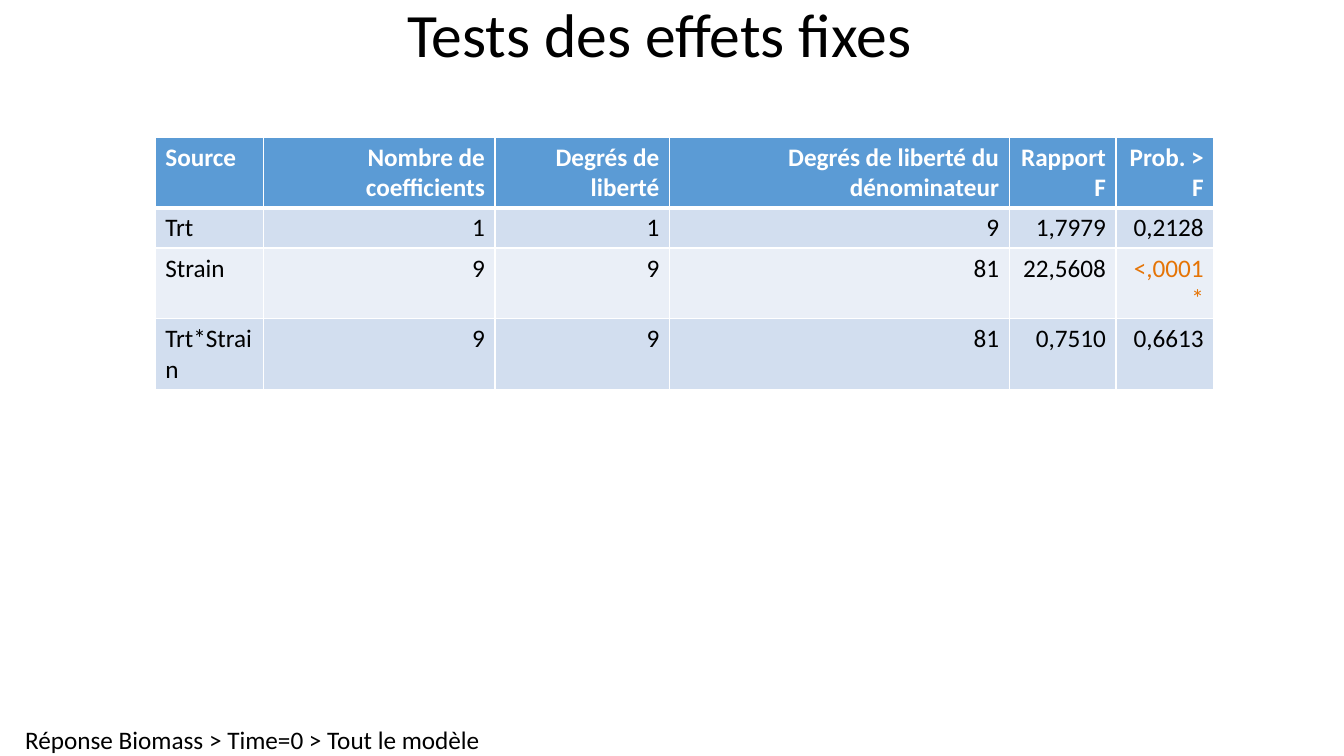
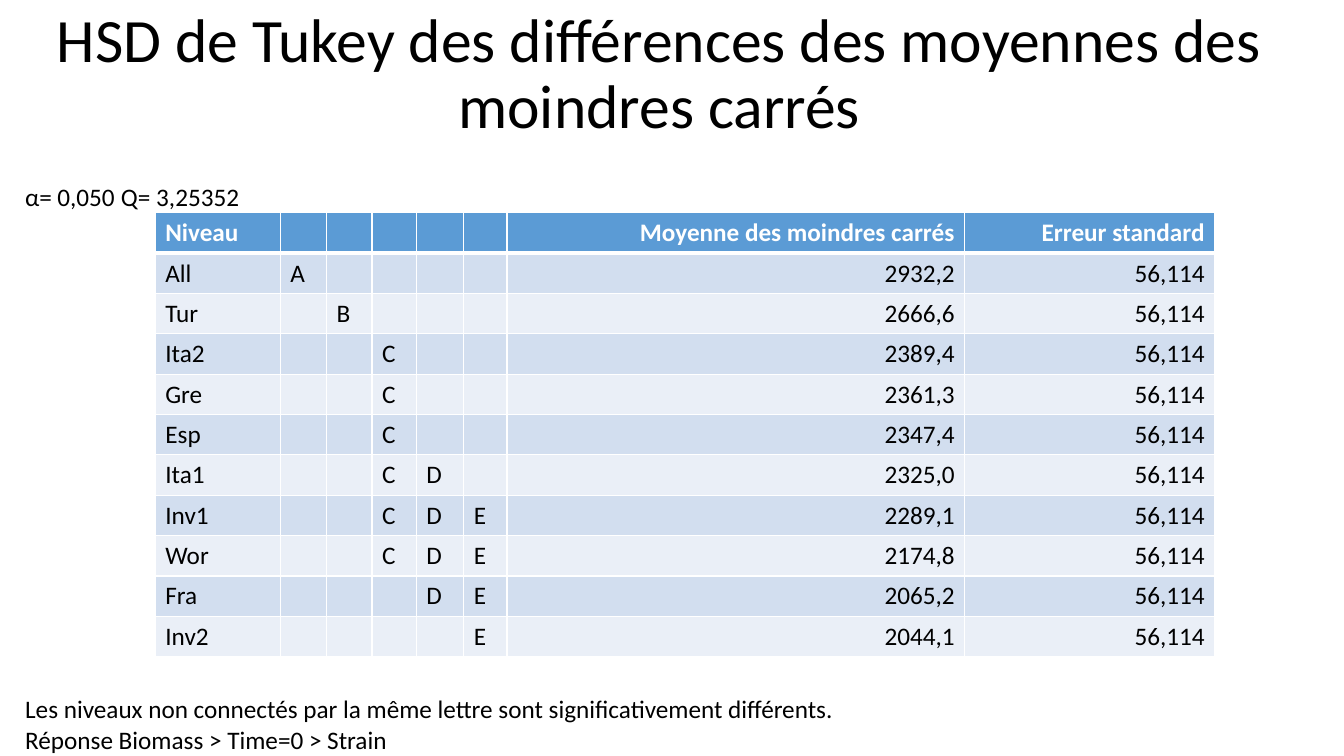
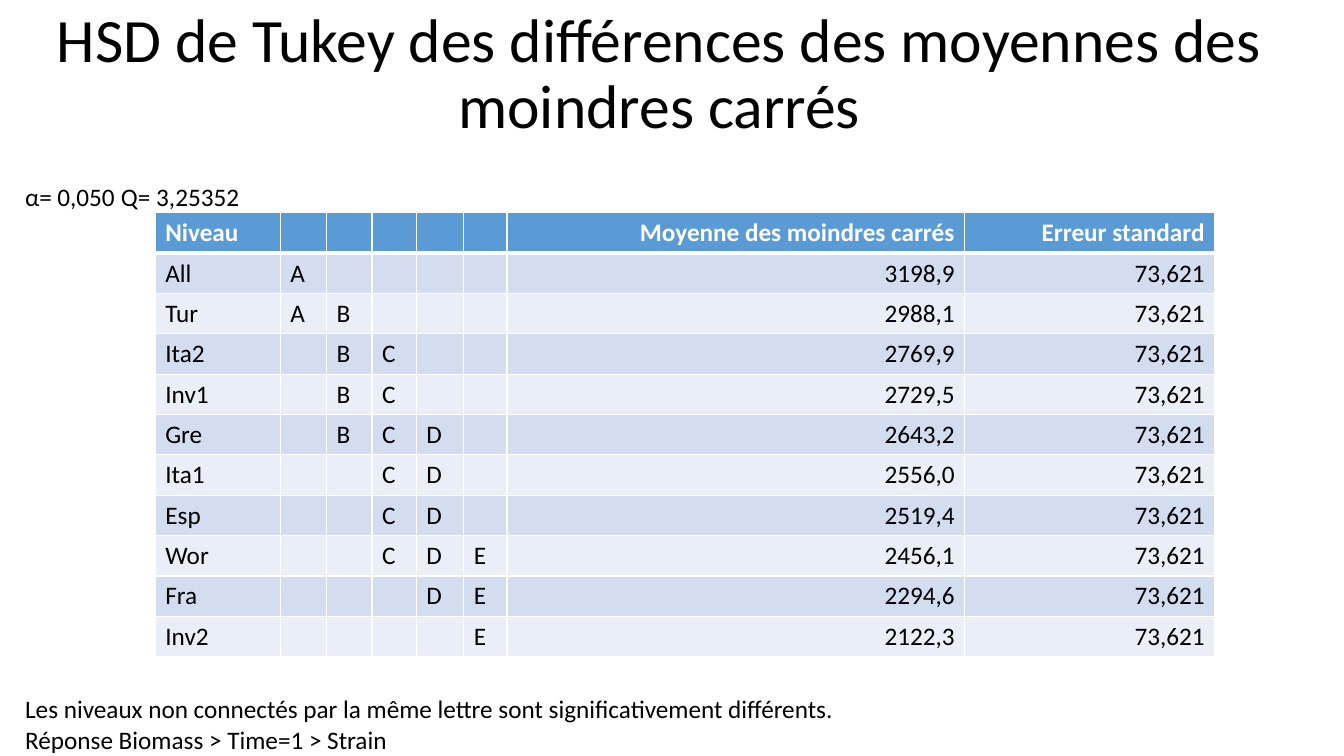
from dataclasses import dataclass

from lxml.etree import SubElement
from pptx import Presentation
from pptx.dml.color import RGBColor
from pptx.enum.text import MSO_ANCHOR, MSO_AUTO_SIZE, PP_ALIGN
from pptx.oxml.ns import qn
from pptx.util import Inches, Pt


@dataclass(frozen=True)
class Theme:
    font: str = "Calibri"
    title_size: int = 44
    body_size: int = 18
    text: str = "000000"
    header_text: str = "FFFFFF"
    significant: str = "E57406"
    header_fill: str = "5B9BD5"
    bands: tuple = ("D2DEEF", "EAEFF7")
    border: str = "FFFFFF"
    thin: int = 1
    thick: int = 3


THEME = Theme()
MARGIN = 0.25
PAGE_WIDTH, PAGE_HEIGHT = 13.33, 7.5
TITLE_WIDTH = PAGE_WIDTH - MARGIN
LINE_HEIGHT = 0.31
LABEL_GAP = 0.03
TABLE_LEFT = 1.54
ROW_HEIGHT = 0.4

EFFECTS = {
    "title": "Tests des effets fixes",
    "title_height": 0.75,
    "labels": [],
    "top": 1.36,
    "widths": [1.07, 2.3, 1.73, 3.37, 1.06, 0.97],
    "text_columns": 1,
    "rows": [
        ["Source", "Nombre de coefficients", "Degrés de liberté",
         "Degrés de liberté du dénominateur", "Rapport F", "Prob. > F"],
        ["Trt", "1", "1", "9", "1,7979", "0,2128"],
        ["Strain", "9", "9", "81", "22,5608", "<,0001*"],
        ["Trt*Strain", "9", "9", "81", "0,7510", "0,6613"],
    ],
    "footer": [("Réponse Biomass > Time=0 > Tout le modèle", 4.6)],
}

LETTERS = "ABCDE"
TUKEY_TESTS = [
    (0, "56,114", [
        ("All", "A", "2932,2"), ("Tur", "B", "2666,6"), ("Ita2", "C", "2389,4"),
        ("Gre", "C", "2361,3"), ("Esp", "C", "2347,4"), ("Ita1", "CD", "2325,0"),
        ("Inv1", "CDE", "2289,1"), ("Wor", "CDE", "2174,8"),
        ("Fra", "DE", "2065,2"), ("Inv2", "E", "2044,1"),
    ]),
    (1, "73,621", [
        ("All", "A", "3198,9"), ("Tur", "AB", "2988,1"), ("Ita2", "BC", "2769,9"),
        ("Inv1", "BC", "2729,5"), ("Gre", "BCD", "2643,2"), ("Ita1", "CD", "2556,0"),
        ("Esp", "CD", "2519,4"), ("Wor", "CDE", "2456,1"),
        ("Fra", "DE", "2294,6"), ("Inv2", "E", "2122,3"),
    ]),
]


def tukey_content(time, error, levels):
    header = ["Niveau", *[""] * len(LETTERS), "Moyenne des moindres carrés", "Erreur standard"]
    body = [
        [level, *[letter if letter in groups else "" for letter in LETTERS], mean, error]
        for level, groups, mean in levels
    ]
    return {
        "title": "HSD de Tukey des différences des moyennes des moindres carrés",
        "title_height": 1.5,
        "labels": [("α=", 0.29), ("0,050", 0.6), ("Q=", 0.32), ("3,25352", 0.86)],
        "top": 2.11,
        "widths": [1.24, 0.46, 0.45, 0.44, 0.47, 0.43, 4.54, 2.48],
        "text_columns": 1 + len(LETTERS),
        "rows": [header, *body],
        "footer": [
            ("Les niveaux non connectés par la même lettre sont significativement différents.", 8.1),
            (f"Réponse Biomass > Time={time} > Strain", 3.65),
        ],
    }


def add_span(para, text, size, color, bold=False):
    span = para.add_run()
    span.text = text
    span.font.name = THEME.font
    span.font.size = Pt(size)
    span.font.bold = bold
    span.font.color.rgb = RGBColor.from_string(color)


def add_title(page, text, height):
    box = page.shapes.add_textbox(0, 0, Inches(TITLE_WIDTH), Inches(height))
    frame = box.text_frame
    frame.word_wrap = True
    frame.vertical_anchor = MSO_ANCHOR.MIDDLE
    para = frame.paragraphs[0]
    para.alignment = PP_ALIGN.CENTER
    para.line_spacing = 0.9
    add_span(para, text, THEME.title_size, THEME.text)


def add_label(page, text, left, top, width):
    box = page.shapes.add_textbox(Inches(left), Inches(top), Inches(width), Inches(LINE_HEIGHT))
    frame = box.text_frame
    frame.margin_left = frame.margin_top = frame.margin_right = frame.margin_bottom = 0
    frame.word_wrap = False
    frame.auto_size = MSO_AUTO_SIZE.SHAPE_TO_FIT_TEXT
    add_span(frame.paragraphs[0], text, THEME.body_size, THEME.text)


def add_borders(cell, row):
    widths = {
        "a:lnL": THEME.thin,
        "a:lnR": THEME.thin,
        "a:lnT": THEME.thick if row == 1 else THEME.thin,
        "a:lnB": THEME.thick if row == 0 else THEME.thin,
    }
    properties = cell._tc.get_or_add_tcPr()
    for tag, width in widths.items():
        line = SubElement(properties, qn(tag), w=str(Pt(width)))
        fill = SubElement(line, qn("a:solidFill"))
        SubElement(fill, qn("a:srgbClr"), val=THEME.border)


def style_cell(cell, text, row, is_text):
    add_borders(cell, row)
    is_header = row == 0
    cell.fill.solid()
    fill = THEME.header_fill if is_header else THEME.bands[(row - 1) % 2]
    cell.fill.fore_color.rgb = RGBColor.from_string(fill)
    para = cell.text_frame.paragraphs[0]
    para.alignment = PP_ALIGN.LEFT if is_text else PP_ALIGN.RIGHT
    para.font.size = Pt(THEME.body_size)
    color = THEME.header_text if is_header else THEME.text
    if text.startswith("<"):
        color = THEME.significant
    if text:
        add_span(para, text, THEME.body_size, color, is_header)


def add_results(page, content):
    rows, widths = content["rows"], content["widths"]
    table = page.shapes.add_table(
        len(rows), len(widths), Inches(TABLE_LEFT), Inches(content["top"]),
        Inches(sum(widths)), Inches(ROW_HEIGHT * len(rows)),
    ).table
    for column, width in zip(table.columns, widths):
        column.width = Inches(width)
    for row, texts in enumerate(rows):
        for column, text in enumerate(texts):
            style_cell(table.cell(row, column), text, row, column < content["text_columns"])


def add_page(deck, content):
    page = deck.slides.add_slide(deck.slide_layouts[6])
    add_title(page, content["title"], content["title_height"])
    left = MARGIN
    for text, width in content["labels"]:
        add_label(page, text, left, content["top"] - LINE_HEIGHT, width)
        left += width + LABEL_GAP
    add_results(page, content)
    for lines_up, (text, width) in enumerate(reversed(content["footer"]), 1):
        add_label(page, text, MARGIN, PAGE_HEIGHT - lines_up * LINE_HEIGHT, width)


def main():
    deck = Presentation()
    deck.slide_width = Inches(PAGE_WIDTH)
    deck.slide_height = Inches(PAGE_HEIGHT)
    for content in [EFFECTS, *[tukey_content(*test) for test in TUKEY_TESTS]]:
        add_page(deck, content)
    deck.save("out.pptx")


if __name__ == "__main__":
    main()
